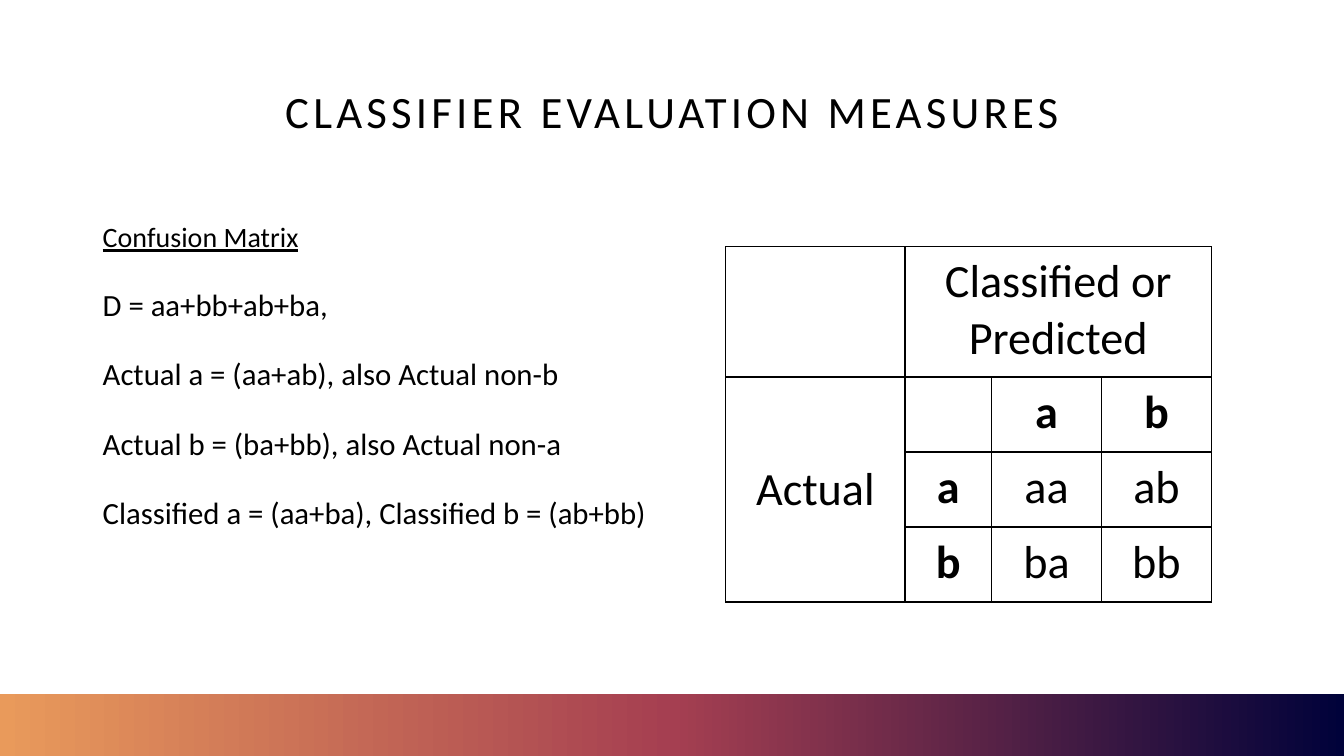
"""Build the slide on classifier evaluation measures."""
from copy import deepcopy

from lxml.etree import SubElement
from pptx import Presentation
from pptx.dml.color import RGBColor
from pptx.enum.shapes import MSO_SHAPE as Shape
from pptx.enum.text import MSO_ANCHOR as Anchor, MSO_AUTO_SIZE as Auto, PP_ALIGN as Align
from pptx.oxml import parse_xml
from pptx.oxml.ns import nsdecls, qn
from pptx.util import Cm, Pt

BLACK = RGBColor(0x00, 0x00, 0x00)
WHITE = RGBColor(0xFF, 0xFF, 0xFF)
NAVY = RGBColor(0x00, 0x02, 0x3A)
ROSE = RGBColor(0xA5, 0x3F, 0x51)
AMBER = RGBColor(0xE9, 0x9A, 0x5B)
WIDTH = Cm(33.87)


def style(font, size, bold=False):
    font.name = "Calibri"
    font.size = Pt(size)
    font.bold = bold
    font.color.rgb = BLACK


def outline(cell):
    props = cell._tc.get_or_add_tcPr()
    for i, side in enumerate("LRTB"):
        props.insert(i, parse_xml(
            f'<a:ln{side} {nsdecls("a")} w="12700"><a:solidFill>'
            f'<a:srgbClr val="{BLACK}"/></a:solidFill></a:ln{side}>'))


deck = Presentation()
deck.slide_width, deck.slide_height = WIDTH, Cm(19.05)
slide = deck.slides.add_slide(deck.slide_layouts[5])
slide.background.fill.solid()
slide.background.fill.fore_color.rgb = WHITE

bar = slide.shapes.add_shape(Shape.RECTANGLE, 0, Cm(17.5), WIDTH, Cm(1.55))
bar.shadow.inherit = False
bar.line.fill.background()
bar.fill.gradient()
bar.fill.gradient_angle = 180
stops = bar._element.spPr.find(qn("a:gradFill")).find(qn("a:gsLst"))
stops.insert(1, deepcopy(stops[0]))
for stop, pos, color in zip(bar.fill.gradient_stops, (0, 0.5, 1), (NAVY, ROSE, AMBER)):
    stop.position = pos
    stop.color.rgb = color

title = slide.shapes.title
title.left, title.top, title.width, title.height = Cm(2.34), Cm(1.02), Cm(29.21), Cm(3.68)
frame = title.text_frame
frame.text = "CLASSIFIER EVALUATION MEASURES"
frame.auto_size = Auto.NONE
frame.vertical_anchor = Anchor.MIDDLE
head = frame.paragraphs[0]
head.alignment = Align.CENTER
head.line_spacing = 0.9
run = head.runs[0]
style(run.font, 32)
run.font._element.set("spc", "300")

body = slide.shapes.add_textbox(Cm(2.34), Cm(4.98), Cm(14.25), Cm(11.43))
frame = body.text_frame
frame.word_wrap = True
frame.text = "\n".join([
    "Confusion Matrix",
    "D = aa+bb+ab+ba,",
    "Actual a = (aa+ab), also Actual non-b",
    "Actual b = (ba+bb), also Actual non-a",
    "Classified a = (aa+ba), Classified b = (ab+bb)",
])
for i, para in enumerate(frame.paragraphs):
    para.line_spacing = 1.5
    para.space_before = Pt(10 if i else 0)
    font = para.runs[0].font
    style(font, 22 if i else 20)
    font.underline = i == 0

cols = (4.52, 2.18, 2.77, 2.77)
rows = (3.28, 1.89, 1.89, 1.89)
grid = [
    ["", "Classified or Predicted", "", ""],
    ["Actual", "", "a", "b"],
    ["", "a", "aa", "ab"],
    ["", "b", "ba", "bb"],
]
table = slide.shapes.add_table(
    4, 4, Cm(18.29), Cm(6.22), Cm(sum(cols)), Cm(sum(rows))).table
table.first_row = table.horz_banding = False
for col, width in zip(table.columns, cols):
    col.width = Cm(width)
for row, height in zip(table.rows, rows):
    row.height = Cm(height)
table.cell(0, 1).merge(table.cell(0, 3))
table.cell(1, 0).merge(table.cell(3, 0))
table.cell(1, 0).vertical_anchor = Anchor.MIDDLE
for r, line in enumerate(grid):
    for c, text in enumerate(line):
        cell = table.cell(r, c)
        cell.fill.background()
        outline(cell)
        if text:
            cell.margin_left = cell.margin_right = Cm(0.36)
            cell.margin_top = cell.margin_bottom = Cm(0.18)
            cell.text_frame.text = text
            para = cell.text_frame.paragraphs[0]
            para.alignment = Align.CENTER
            style(para.runs[0].font, 33, text in ("a", "b"))

deck.save("out.pptx")
